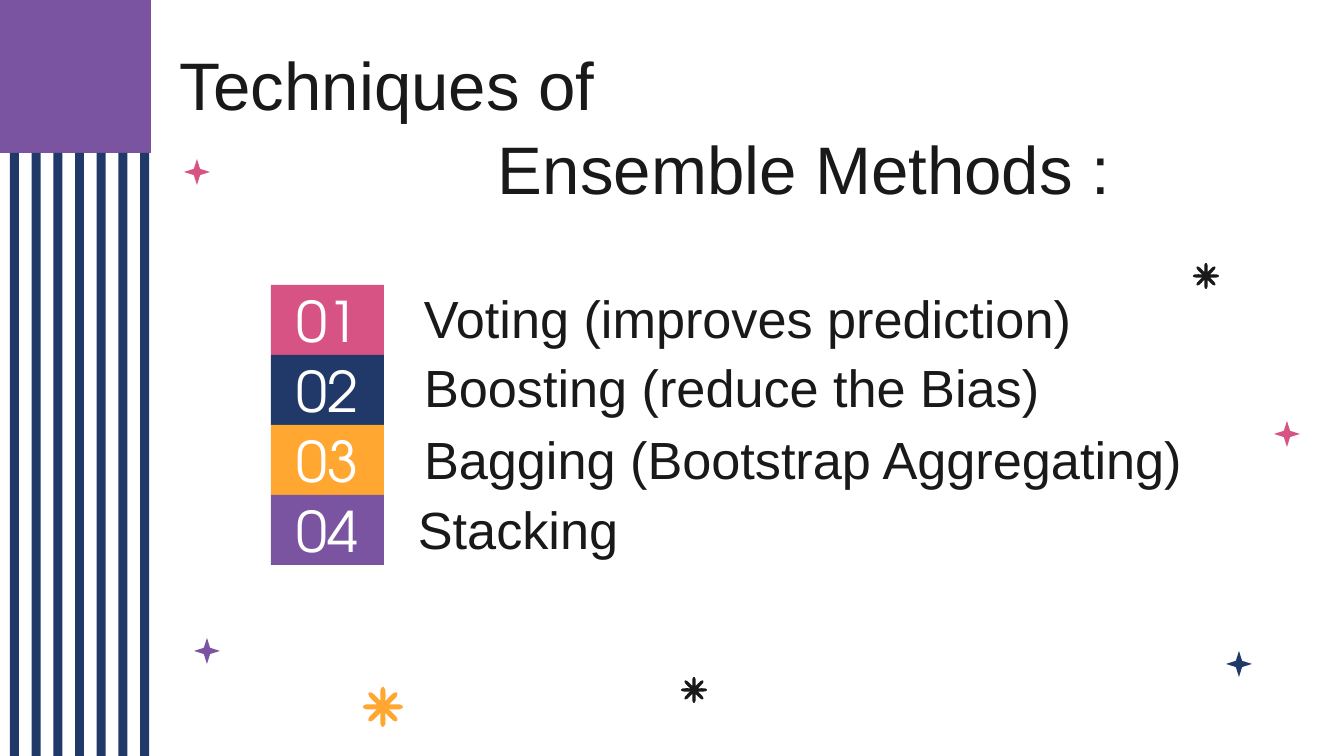
"""Build the slide listing four techniques of ensemble methods."""
from math import cos, pi, sin

from pptx import Presentation
from pptx.dml.color import RGBColor
from pptx.enum.shapes import MSO_SHAPE
from pptx.enum.text import MSO_ANCHOR, PP_ALIGN
from pptx.util import Emu, Pt

PX = 914400 / 134.4
W, H = 1344, 756

INK = RGBColor(0x19, 0x19, 0x19)
WHITE = RGBColor(0xFF, 0xFF, 0xFF)
PINK = RGBColor(0xD7, 0x53, 0x83)
NAVY = RGBColor(0x21, 0x39, 0x69)
ORANGE = RGBColor(0xFF, 0xA7, 0x30)
PURPLE = RGBColor(0x7A, 0x54, 0xA1)

TITLE = [("Techniques of", 0), ("Ensemble Methods :", 318)]
TECHNIQUES = [
    ("01", PINK, "Voting (improves prediction)", (390, 289, 739, 66)),
    ("02", NAVY, "Boosting (reduce the Bias)", (390, 358, 845, 66)),
    ("03", ORANGE, "Bagging (Bootstrap Aggregating)", (390, 430, 829, 66)),
    ("04", PURPLE, "Stacking", (384, 497, 734, 71)),
]
SPARKLES = [(1287, 434, PINK), (1239, 664, NAVY), (207, 651, PURPLE), (197, 172, PINK)]
FLOWERS = [(694, 690, 13, INK), (383, 707, 20, ORANGE), (1206, 276, 13, INK)]

TITLE_FONT = {"name": "Arial", "size": Pt(36)}
ITEM_FONT = {"name": "Arial", "size": Pt(28)}
NUMBER_FONT = {"name": "TeX Gyre Adventor", "size": Pt(30)}

SPARKLE_ARM = [(1, 0), (0.24, 0.24)]
PETAL = [(0.3, -0.12), (0.6, -0.13), (0.85, -0.12), (0.97, -0.06),
         (1, 0), (0.97, 0.06), (0.85, 0.12), (0.6, 0.13)]


def px(n):
    return Emu(round(n * PX))


def paint(s, color):
    s.shadow.inherit = False
    s.fill.solid()
    s.fill.fore_color.rgb = color
    s.line.fill.background()


def add_rect(shapes, box, color):
    s = shapes.add_shape(MSO_SHAPE.RECTANGLE, *map(px, box))
    paint(s, color)
    return s


def add_radial(shapes, x, y, radius, color, arm, count):
    points = []
    for i in range(count):
        c, d = cos(2 * pi * i / count), sin(2 * pi * i / count)
        points += [(px(x + radius * (u * c - v * d)), px(y + radius * (u * d + v * c)))
                   for u, v in arm]
    builder = shapes.build_freeform(*points[0])
    builder.add_line_segments(points[1:], close=True)
    paint(builder.convert_to_shape(), color)


def set_frame(tf, left=13):
    tf.word_wrap = True
    tf.vertical_anchor = MSO_ANCHOR.MIDDLE
    tf.margin_left = px(left)
    tf.margin_right = tf.margin_top = tf.margin_bottom = px(13)


def write(p, text, font, color, align=PP_ALIGN.LEFT, spacing=1.0):
    p.alignment = align
    p.line_spacing = spacing
    r = p.add_run()
    r.text = text
    for key, value in font.items():
        setattr(r.font, key, value)
    r.font.color.rgb = color


def add_title(shapes):
    tf = shapes.add_textbox(*map(px, (167, 81, 1141, 85))).text_frame
    set_frame(tf)
    for i, (text, indent) in enumerate(TITLE):
        p = tf.add_paragraph() if i else tf.paragraphs[0]
        p._p.get_or_add_pPr().set("marL", str(px(indent)))
        write(p, text, TITLE_FONT, INK, spacing=1.05)


def add_technique(shapes, row, number, color, text, box):
    tf = add_rect(shapes, (271, 285 + 70 * row, 113, 70), color).text_frame
    set_frame(tf)
    write(tf.paragraphs[0], number, NUMBER_FONT, WHITE, PP_ALIGN.CENTER)
    tf = shapes.add_textbox(*map(px, box)).text_frame
    set_frame(tf, 34)
    write(tf.paragraphs[0], text, ITEM_FONT, INK, spacing=0.9)


def main():
    prs = Presentation()
    prs.slide_width, prs.slide_height = px(W), px(H)
    shapes = prs.slides.add_slide(prs.slide_layouts[6]).shapes
    add_rect(shapes, (0, 0, 151, 153), PURPLE)
    for i in range(7):
        add_rect(shapes, (10 + 21.7 * i, 153, 9, H - 153), NAVY)
    add_title(shapes)
    for row, technique in enumerate(TECHNIQUES):
        add_technique(shapes, row, *technique)
    for x, y, color in SPARKLES:
        add_radial(shapes, x, y, 13, color, SPARKLE_ARM, 4)
    for x, y, radius, color in FLOWERS:
        add_radial(shapes, x, y, radius, color, PETAL, 8)
    prs.save("out.pptx")


if __name__ == "__main__":
    main()
